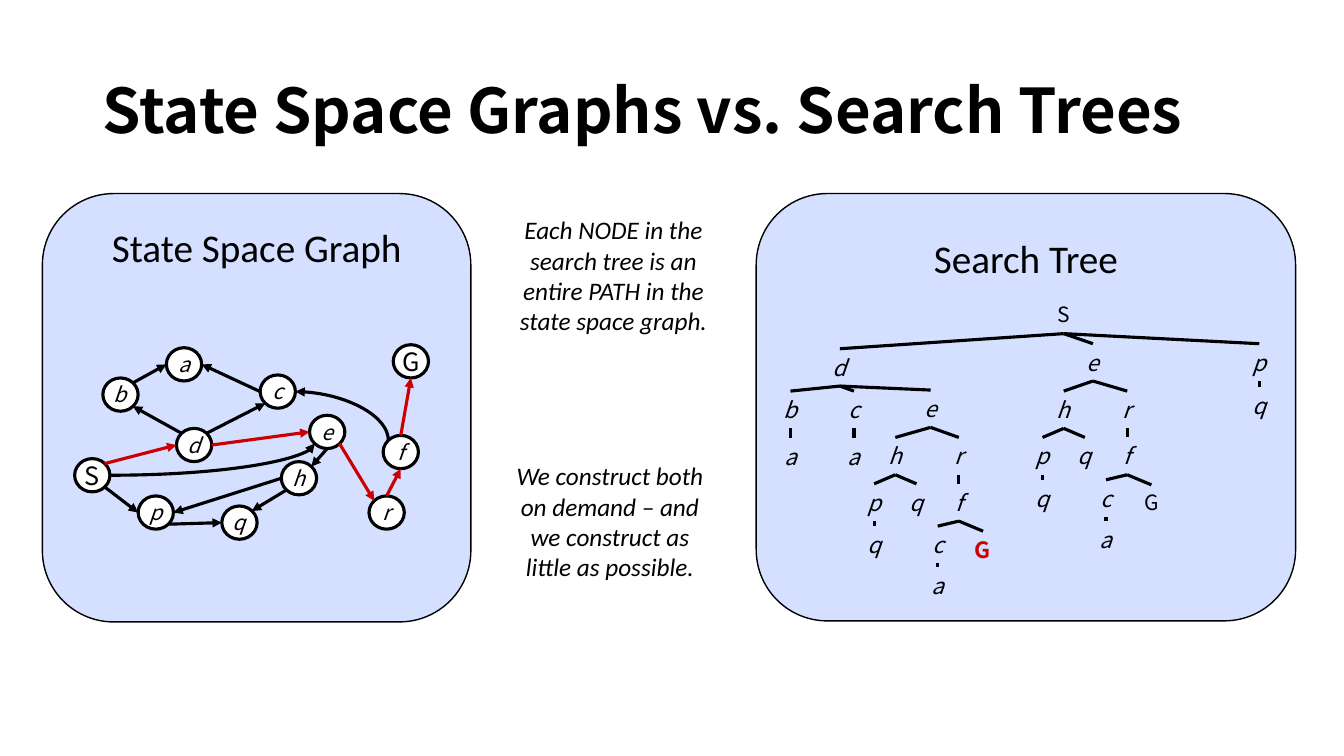
from lxml import etree
from pptx import Presentation
from pptx.dml.color import RGBColor
from pptx.enum.shapes import MSO_CONNECTOR, MSO_SHAPE
from pptx.enum.text import MSO_ANCHOR, PP_ALIGN
from pptx.oxml.ns import qn
from pptx.util import Emu, Pt

STRAIGHT, CURVE = MSO_CONNECTOR.STRAIGHT, MSO_CONNECTOR.CURVE
ROUNDED, NODE = MSO_SHAPE.ROUNDED_RECTANGLE, MSO_SHAPE.FLOWCHART_CONNECTOR
LEFT, CENTER = PP_ALIGN.LEFT, PP_ALIGN.CENTER
TOP, MIDDLE = MSO_ANCHOR.TOP, MSO_ANCHOR.MIDDLE

EMU_PER_PX = 9144  # 100 px to the inch
BLACK, WHITE, RED, PALE_BLUE = "000000", "FFFFFF", "CC0000", "D5DFFF"
LETTER_FONT, PROSE_FONT = "Noto Sans CJK SC", "Calibri"

# Graph nodes: left and top inside the panel
NODE_WIDTH, NODE_HEIGHT = 35, 33
GRAPH_NODES = {
    "S": (32, 263), "G": (348, 150), "d": (133, 233), "b": (60, 183),
    "p": (95, 300), "q": (178, 310), "c": (216, 180), "e": (265, 220),
    "h": (237, 266), "a": (123, 153), "f": (338, 240), "r": (324, 300),
}
# Graph edges: node and side where the arrow starts, then where it ends
BLACK_EDGES = ["S se p w", "p se q w", "h sw q ne", "h w p e", "e s h ne",
               "d nw b se", "b ne a w", "c w a e", "d ne c sw"]
RED_EDGES = ["e se r nw", "r n f s", "f n G s", "S ne d w", "d e e w"]
LABEL_HEIGHT = 37


def px(length):
    return Emu(round(length * EMU_PER_PX))


def color(value):
    return RGBColor.from_string(value)


def write(frame, text, size, font=LETTER_FONT, tint=BLACK, bold=False,
          italic=False, align=CENTER, anchor=TOP, wrap=True, spacing=None):
    frame.word_wrap = wrap
    frame.vertical_anchor = anchor
    paragraph = frame.paragraphs[0]
    paragraph.alignment = align
    if spacing:
        paragraph.line_spacing = spacing
    run = paragraph.add_run()
    run.text = text
    run.font.name, run.font.size = font, Pt(size)
    run.font.bold, run.font.italic = bold, italic
    run.font.color.rgb = color(tint)


def add_text(slide, box, text, size, **style):
    text_box = slide.shapes.add_textbox(*map(px, box))
    write(text_box.text_frame, text, size, **style)


def add_outlined(slide, kind, box, fill, line_width):
    shape = slide.shapes.add_shape(kind, *map(px, box))
    shape.shadow.inherit = False
    shape.fill.solid()
    shape.fill.fore_color.rgb = color(fill)
    shape.line.color.rgb = color(BLACK)
    shape.line.width = Pt(line_width)
    return shape


def add_line(slide, start, end, tint=BLACK, kind=STRAIGHT, arrow=False):
    connector = slide.shapes.add_connector(kind, *map(px, (*start, *end)))
    connector.line.color.rgb = color(tint)
    connector.line.width = Pt(2.25)
    properties = connector._element.spPr
    if arrow:
        etree.SubElement(connector.line._get_or_add_ln(), qn("a:tailEnd"), type="triangle")
    etree.SubElement(properties, qn("a:effectLst"))
    return properties


def add_curve(slide, start, end, quarter_turn=False):
    """Arc leaving sideways, or upright when given a quarter turn."""
    if quarter_turn:
        middle_x, middle_y = (start[0] + end[0]) / 2, (start[1] + end[1]) / 2
        start, end = [(middle_x + y - middle_y, middle_y - x + middle_x)
                      for x, y in (start, end)]
    properties = add_line(slide, start, end, kind=CURVE, arrow=True)
    properties.find(qn("a:prstGeom")).set("prst", "curvedConnector2")
    if quarter_turn:
        properties.find(qn("a:xfrm")).set("rot", "5400000")


def add_panel(slide, box, heading, heading_top, inset):
    left, top, width, _ = box
    add_outlined(slide, ROUNDED, box, PALE_BLUE, 1)
    add_text(slide, (left + inset, top + heading_top, width - 2 * inset, 57),
             heading, 28, font=PROSE_FONT)


def add_state_graph(slide, box):
    left, top = box[:2]
    add_panel(slide, box, "State Space Graph", 25, 25)

    for name, (x, y) in GRAPH_NODES.items():
        node_box = (left + x, top + y, NODE_WIDTH, NODE_HEIGHT)
        shape = add_outlined(slide, NODE, node_box, WHITE, 2.25)
        write(shape.text_frame, name, 18 if name.isupper() else 15,
              italic=name.islower(), anchor=MIDDLE, wrap=False)

    def side_point(name, side):
        x, y = GRAPH_NODES[name]
        reach = 0.5 if len(side) == 1 else 0.35
        across = ("e" in side) - ("w" in side)
        down = ("s" in side) - ("n" in side)
        return (left + x + NODE_WIDTH * (0.5 + reach * across),
                top + y + NODE_HEIGHT * (0.5 + reach * down))

    for tint, edges in ((BLACK, BLACK_EDGES), (RED, RED_EDGES)):
        for edge in edges:
            source, exit_side, target, entry_side = edge.split()
            add_line(slide, side_point(source, exit_side),
                     side_point(target, entry_side), tint, arrow=True)
    add_curve(slide, side_point("f", "nw"), side_point("c", "e"), quarter_turn=True)
    add_curve(slide, side_point("S", "e"), side_point("e", "sw"))


def branch(name, x, y, *children, tint=BLACK):
    return name, x, y, children, tint


def expand_e(x, y, h_x, goal_tint):
    """The subtree below e, which occurs twice; columns are 21 px apart."""
    rows = [y + 47, y + 93, y + 135, y + 176]
    p_x, q_x, c_x, r_x = [h_x + 21 * step for step in (-1, 1, 2, 3)]
    return branch(
        "e", x, y,
        branch("h", h_x, rows[0],
               branch("p", p_x, rows[1], branch("q", p_x, rows[2])),
               branch("q", q_x, rows[1])),
        branch("r", r_x, rows[0],
               branch("f", r_x, rows[1],
                      branch("c", c_x, rows[2], branch("a", c_x, rows[3])),
                      branch("G", h_x + 87, rows[2] + 5, tint=goal_tint))))


def add_branch(slide, left, top, node):
    name, x, y, children, tint = node
    width = 70 if name.isupper() else 35
    found = tint == RED
    add_text(slide, (left + x - width / 2, top + y, width, LABEL_HEIGHT), name,
             15 if name.isupper() and not found else 16,
             tint=tint, bold=found, italic=name.islower())
    for child in children:
        add_line(slide, (left + x, top + y + LABEL_HEIGHT),
                 (left + child[1], top + child[2]))
        add_branch(slide, left, top, child)


def add_search_tree(slide, box):
    add_panel(slide, box, "Search Tree", 36, 1)
    tree = branch(
        "S", 305, 102,
        branch("d", 83, 154,
               branch("b", 34, 196, branch("a", 34, 243)),
               branch("c", 97, 196, branch("a", 97, 243)),
               expand_e(173, 195, 138, RED)),
        expand_e(334, 149, 305, BLACK),
        branch("p", 499, 149, branch("q", 499, 192)))
    add_branch(slide, *box[:2], tree)


def add_notes_between(slide):
    notes = [
        ((500, 208, 217, 131),
         "Each NODE in the search tree is an entire PATH in the state space graph."),
        ((492, 452, 226, 131),
         "We construct both on demand – and we construct as little as possible."),
    ]
    for box, text in notes:
        add_text(slide, box, text, 18, font=PROSE_FONT, italic=True)


def main():
    presentation = Presentation()
    presentation.slide_width, presentation.slide_height = px(1333), px(750)
    slide = presentation.slides.add_slide(presentation.slide_layouts[6])
    add_text(slide, (92, 40, 1150, 145), "State Space Graphs vs. Search Trees", 44,
             bold=True, align=LEFT, anchor=MIDDLE, spacing=0.9)
    add_state_graph(slide, (42, 192, 425, 425))
    add_search_tree(slide, (750, 192, 535, 424))
    add_notes_between(slide)
    presentation.save("out.pptx")


if __name__ == "__main__":
    main()
